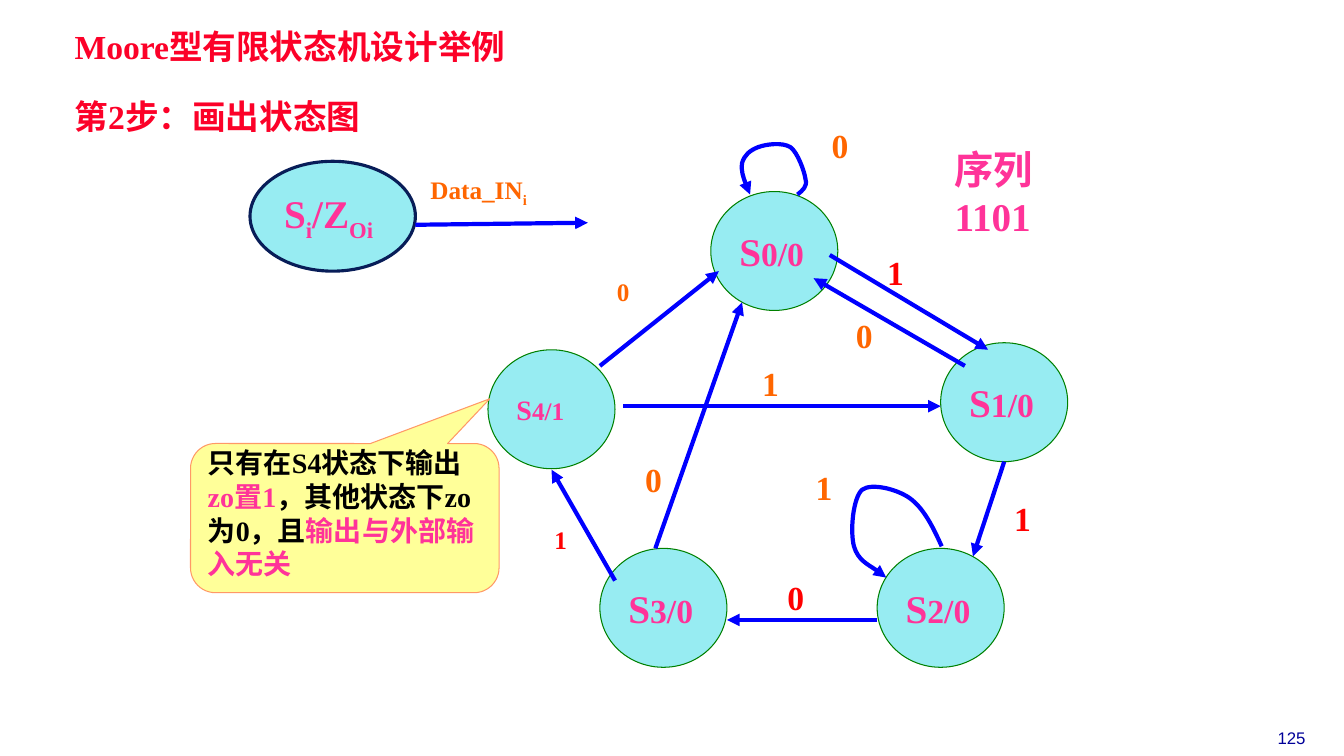
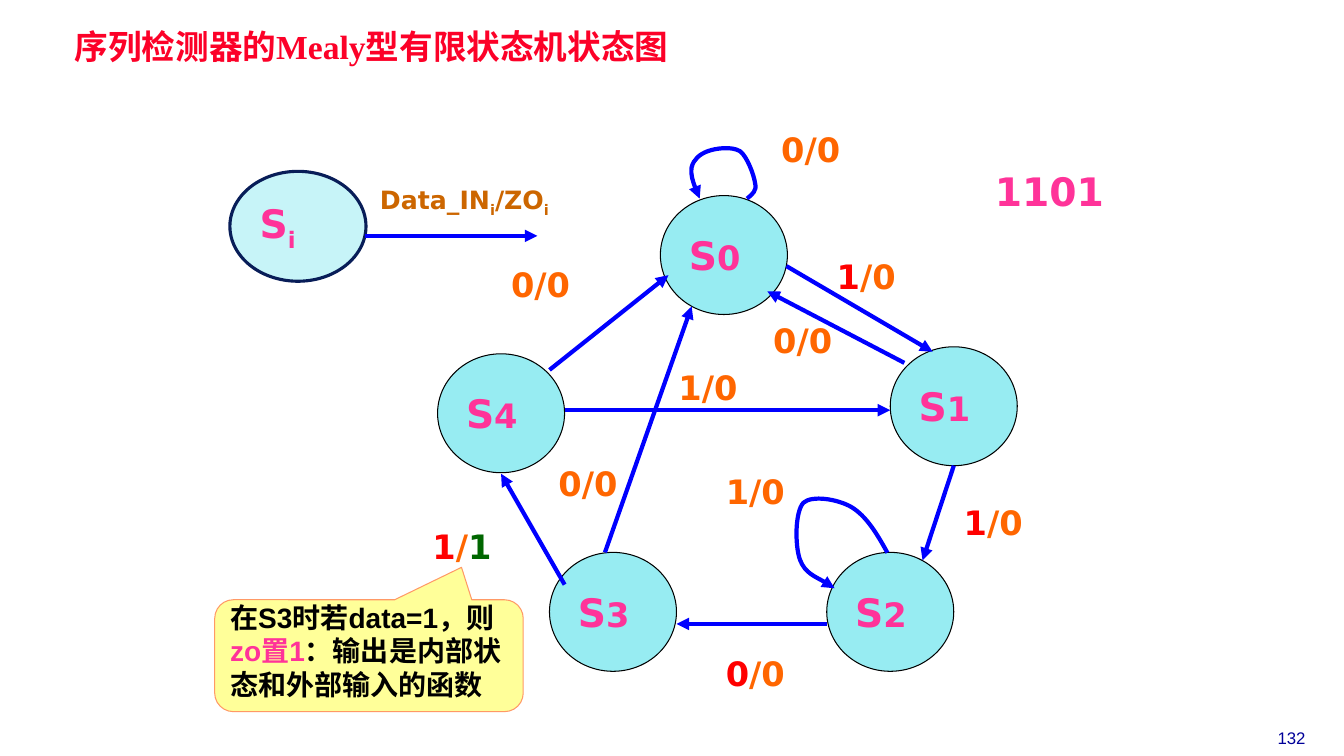
"""Build two slides with the Moore and Mealy state diagrams of a 1101 sequence detector."""
from pptx import Presentation
from pptx.dml.color import RGBColor
from pptx.enum import shapes, text
from pptx.oxml import ns, xmlchemy
from pptx.util import Inches, Pt

TITLE_RED = RGBColor(0xFC, 0x01, 0x28)
PAGE_BLUE = RGBColor(0x00, 0x00, 0x99)
ARROW_BLUE = RGBColor(0x00, 0x00, 0xFF)
STATE_FILL = RGBColor(0x97, 0xEC, 0xF2)
KEY_LINE = RGBColor(0x08, 0x1D, 0x58)
PINK = RGBColor(0xFF, 0x33, 0x99)
RED = RGBColor(0xFF, 0x00, 0x00)
ORANGE = RGBColor(0xFF, 0x66, 0x00)
BROWN = RGBColor(0xCC, 0x66, 0x00)
GREEN = RGBColor(0x00, 0x66, 0x00)
STATE_GREEN = RGBColor(0x00, 0x80, 0x00)
BLACK = RGBColor(0x00, 0x00, 0x00)
NOTE_FILL = RGBColor(0xFF, 0xFF, 0x99)
NOTE_LINE = RGBColor(0xFF, 0x99, 0x66)

SERIF, SANS, ARIAL = "Times New Roman", "DejaVu Sans", "Arial"

STATES = [(7.05, 1.9), (9.33, 3.4), (8.7, 5.44), (5.95, 5.44), (4.84, 3.47)]
STATE_SIZE = (1.26, 1.18)
SHARED_ARROWS = [
    (9.96, 4.58, 9.65, 5.52),
    (8.7, 6.15, 7.21, 6.15),
    (6.1, 5.76, 5.47, 4.66),
    (5.95, 3.63, 7.13, 2.69),
    (6.5, 5.44, 7.36, 3),
]
S0_LOOP = [
    (7.91, 1.93), (7.96, 1.89), (8.01, 1.85), (7.99, 1.78),
    (7.98, 1.7), (7.91, 1.51), (7.84, 1.46), (7.76, 1.41), (7.6, 1.43), (7.52, 1.46),
    (7.44, 1.49), (7.38, 1.54), (7.36, 1.62), (7.35, 1.7), (7.39, 1.82), (7.44, 1.93),
]
S2_LOOP = [
    (9.34, 5.42), (9.25, 5.22), (9.16, 5.04), (9.02, 4.94),
    (8.89, 4.85), (8.64, 4.79), (8.55, 4.86), (8.46, 4.94), (8.43, 5.27), (8.47, 5.42),
    (8.51, 5.56), (8.74, 5.68), (8.79, 5.73),
]


def write(frame, runs, font, size, bold=True):
    """Fill a frame with (text, colour[, size or 'sub']) runs."""
    frame.word_wrap = True
    paragraph = frame.paragraphs[0]
    paragraph.alignment = text.PP_ALIGN.LEFT
    for words, colour, *extra in runs:
        run = paragraph.add_run()
        run.text = words
        run.font.name, run.font.bold = font, bold
        run.font.color.rgb = colour
        run.font.size = Pt(size)
        if extra == ["sub"]:
            run._r.get_or_add_rPr().set("baseline", "-25000")
        elif extra:
            run.font.size = Pt(extra[0])
    return paragraph


def add_label(slide, left, top, runs, font, size=24, width=0.91, height=0.5, bold=True):
    """Add a text box and return its paragraph."""
    box = slide.shapes.add_textbox(*map(Inches, (left, top, width, height)))
    return write(box.text_frame, runs, font, size, bold)


def add_title(slide, top, words):
    """Add a red heading line."""
    box = slide.shapes.add_textbox(*map(Inches, (0.67, top, 7.5, 0.41)))
    frame = box.text_frame
    frame.margin_left = frame.margin_right = Inches(0.07)
    frame.margin_top = frame.margin_bottom = Inches(0.03)
    write(frame, [(words, TITLE_RED)], SERIF, 24).line_spacing = 0.87


def add_page_number(slide, number):
    """Add the page number at the bottom right."""
    paragraph = add_label(slide, 12.34, 7.17, [(number, PAGE_BLUE)], ARIAL, 12,
                          0.94, 0.3, bold=False)
    paragraph.alignment = text.PP_ALIGN.CENTER


def add_filled(slide, kind, box, fill, line, width, anchor, runs, font, size):
    """Add a filled preset shape with text."""
    shape = slide.shapes.add_shape(kind, *map(Inches, box))
    shape.shadow.inherit = False
    shape.fill.solid()
    shape.fill.fore_color.rgb = fill
    shape.line.color.rgb = line
    shape.line.width = Pt(width)
    shape.text_frame.vertical_anchor = anchor
    write(shape.text_frame, runs, font, size)
    return shape


def add_oval(slide, box, line, width, runs, font):
    """Add a state oval."""
    return add_filled(slide, shapes.MSO_SHAPE.OVAL, box, STATE_FILL, line, width,
                      text.MSO_ANCHOR.MIDDLE, runs, font, 28)


def add_note(slide, box, pointer, runs, font):
    """Add a yellow callout whose tip is set by the pointer."""
    note = add_filled(slide, shapes.MSO_SHAPE.ROUNDED_RECTANGULAR_CALLOUT, box, NOTE_FILL,
                      NOTE_LINE, 0.75, text.MSO_ANCHOR.BOTTOM, runs, font, 20)
    note.adjustments[0], note.adjustments[1] = pointer


def style_arrow(line_shape):
    """Make a connector or curve a blue arrow."""
    line_shape.line.color.rgb = ARROW_BLUE
    line_shape.line.width = Pt(3)
    properties = line_shape._element.spPr
    head = xmlchemy.OxmlElement("a:tailEnd")
    head.set("type", "triangle")
    properties.find(ns.qn("a:ln")).append(head)


def add_arrow(slide, x1, y1, x2, y2):
    """Add a straight arrow."""
    arrow = slide.shapes.add_connector(shapes.MSO_CONNECTOR.STRAIGHT,
                                       *map(Inches, (x1, y1, x2, y2)))
    style_arrow(arrow)
    arrow._element.spPr.append(xmlchemy.OxmlElement("a:effectLst"))


def add_loop(slide, points, shift, rotation=0):
    """Add a curved arrow through Bezier points."""
    dx, dy = shift
    start, *rest = [(Inches(x + dx), Inches(y + dy)) for x, y in points]
    builder = slide.shapes.build_freeform(*start)
    builder.add_line_segments(rest, close=False)
    loop = builder.convert_to_shape()
    segments = list(loop._element.iter(ns.qn("a:lnTo")))
    for first in range(0, len(segments), 3):
        curve = xmlchemy.OxmlElement("a:cubicBezTo")
        segments[first].addprevious(curve)
        for segment in segments[first:first + 3]:
            curve.append(segment[0])
            segment.getparent().remove(segment)
    loop.shadow.inherit = False
    loop.fill.background()
    style_arrow(loop)
    loop.rotation = rotation


def add_diagram(slide, shift, outline, font, names, arrows, labels):
    """Add the states, their transitions and the transition labels."""
    dx, dy = shift
    for (left, top), (suffix, *sizes) in zip(STATES, names):
        big, small = sizes or (28, 24)
        add_oval(slide, (left + dx, top + dy, *STATE_SIZE), outline, 0.75,
                 [("S", PINK, big), (suffix, PINK, small)], font)
    for x1, y1, x2, y2 in SHARED_ARROWS:
        add_arrow(slide, x1 + dx, y1 + dy, x2 + dx, y2 + dy)
    for arrow in arrows:
        add_arrow(slide, *arrow)
    for left, top, *runs in labels:
        add_label(slide, left, top, runs, font)
    add_loop(slide, S0_LOOP, shift)


def build_moore(slide):
    """Build the Moore machine slide."""
    add_page_number(slide, "125")
    add_label(slide, 9.37, 1.39, [("序列1101", PINK)], SERIF, 28, 1.3, 1.0)
    add_diagram(
        slide, (0, 0), STATE_GREEN, SERIF,
        [("0/0",), ("1/0",), ("2/0",), ("3/0",), ("4/1", 20, 18)],
        [(8.23, 2.53, 9.8, 3.47), (6.18, 4.03, 9.33, 4.03), (9.57, 3.63, 8.07, 2.76)],
        [
            (8.7, 2.45, ("1", RED)), (9.96, 4.89, ("1", RED)),
            (7.71, 5.67, ("0", RED)), (5.4, 5.15, ("1", RED, 18)),
            (6.02, 2.69, ("0", ORANGE, 18)), (7.46, 3.55, ("1", ORANGE)),
            (8.39, 3.08, ("0", ORANGE)), (7.99, 4.58, ("1", ORANGE)),
            (6.3, 4.5, ("0", ORANGE)), (8.15, 1.19, ("0", ORANGE)),
        ])
    add_loop(slide, S2_LOOP, (0, 0))
    add_oval(slide, (2.48, 1.6, 1.64, 1.09), KEY_LINE, 2.25,
             [("S", PINK), ("i", PINK, "sub"), ("/Z", PINK), ("Oi", PINK, "sub")], SERIF)
    add_arrow(slide, 4.12, 2.23, 5.83, 2.21)
    add_label(slide, 4.17, 1.68, [("Data_IN", ORANGE), ("i", ORANGE, "sub")],
              SERIF, 18, 2.11, 0.4)
    add_title(slide, 0.98, "第2步：画出状态图")
    add_title(slide, 0.28, "Moore型有限状态机设计举例")
    add_note(slide, (1.89, 4.4, 3.06, 1.48), (0.47, -0.8),
             [("只有在S4状态下输出", BLACK), ("zo置1", PINK),
              ("，其他状态下zo为0，且", BLACK), ("输出与外部输入无关", PINK)], SERIF)


def build_mealy(slide):
    """Build the Mealy machine slide."""
    add_page_number(slide, "132")
    add_label(slide, 9.77, 1.61, [("1101", PINK)], SANS, 28, 1.5, 0.57)
    add_diagram(
        slide, (-0.5, 0.04), BLACK, SANS, [(digit,) for digit in "01234"],
        [(7.8, 2.64, 9.25, 3.49), (5.6, 4.07, 8.83, 4.07), (8.97, 3.6, 7.61, 2.89)],
        [
            (8.2, 2.49, ("1", RED), ("/0", ORANGE)),
            (9.46, 4.93, ("1", RED), ("/0", ORANGE)),
            (7.1, 6.43, ("0", RED), ("/0", ORANGE)),
            (4.19, 5.17, ("1", RED), ("/", ORANGE), ("1", GREEN)),
            (4.97, 2.57, ("0/0", ORANGE)), (6.63, 3.59, ("1/0", ORANGE)),
            (7.57, 3.12, ("0/0", ORANGE)), (7.1, 4.62, ("1/0", ORANGE)),
            (5.44, 4.54, ("0/0", ORANGE)), (7.65, 1.23, ("0/0", ORANGE)),
        ])
    add_loop(slide, S2_LOOP, (-0.55, 0.1), -4.6)
    add_title(slide, 0.28, "序列检测器的Mealy型有限状态机状态图")
    key = add_oval(slide, (2.28, 1.7, 1.35, 1.09), KEY_LINE, 2.25,
                   [("S", PINK), ("i", PINK, "sub")], SANS)
    opacity = xmlchemy.OxmlElement("a:alpha")
    opacity.set("val", "53000")
    key._element.spPr.find(ns.qn("a:solidFill"))[0].append(opacity)
    add_arrow(slide, 3.62, 2.34, 5.33, 2.34)
    add_label(slide, 3.67, 1.78,
              [("Data_IN", BROWN), ("i", BROWN, "sub"), ("/ZO", BROWN), ("i", BROWN, "sub")],
              SANS, 18, 2.11, 0.4)
    add_note(slide, (2.13, 5.95, 3.06, 1.11), (0.3, -0.79),
             [("在S3时若data=1，则", BLACK), ("zo置1", PINK),
              ("：输出是内部状态和外部输入的函数", BLACK)], ARIAL)


def main():
    """Build and save the presentation."""
    deck = Presentation()
    deck.slide_width, deck.slide_height = Inches(13.33), Inches(7.5)
    for build in (build_moore, build_mealy):
        build(deck.slides.add_slide(deck.slide_layouts[6]))
    deck.save("out.pptx")


if __name__ == "__main__":
    main()
